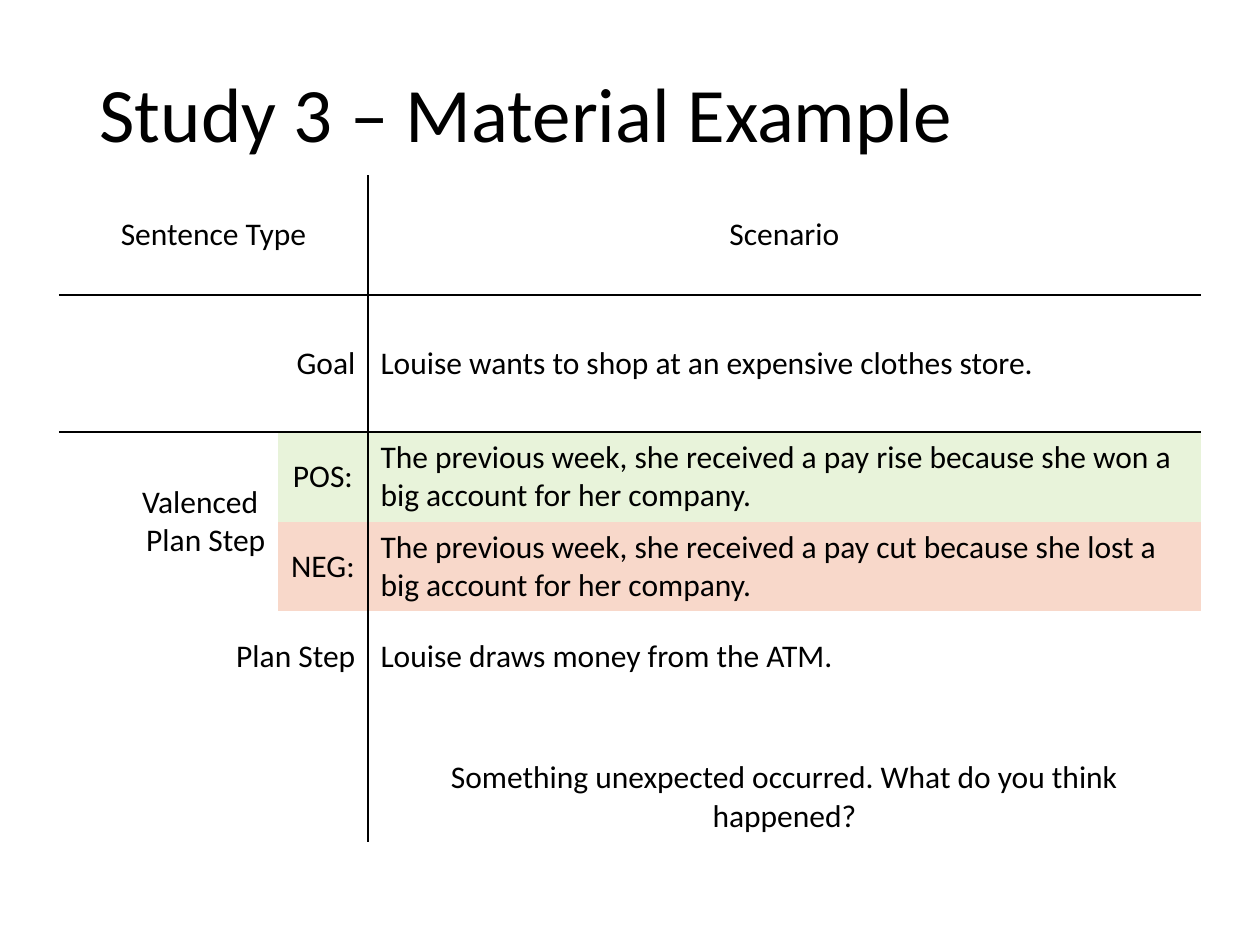
import pptx
import pptx.util
import pptx.dml.color
import pptx.enum.text
import pptx.oxml
import pptx.oxml.ns
from dataclasses import dataclass

ALIGN = pptx.enum.text.PP_ALIGN
MIDDLE = pptx.enum.text.MSO_ANCHOR.MIDDLE
SCALE = 914400 / 126  # EMU in one px


@dataclass(frozen=True)
class Theme:
    font: str = "Calibri"
    ink: str = "000000"
    gain: str = "E8F3DA"
    loss: str = "F8D8CA"
    head: int = 44
    body: int = 18
    rule: int = 1


def px(num):
    return pptx.util.Emu(round(num * SCALE))


def write(frame, text, *, font, size, color, align=ALIGN.LEFT, space=None):
    """Fill a text frame, one paragraph to each line of text."""
    frame.text = text
    for para in frame.paragraphs:
        para.alignment = align
        para.line_spacing = space
        para.font.name = font
        para.font.size = pptx.util.Pt(size)
        para.font.color.rgb = pptx.dml.color.RGBColor.from_string(color)


class Deck:
    def __init__(self, theme):
        self.theme = theme
        self.show = pptx.Presentation()
        self.show.slide_width, self.show.slide_height = px(1260), px(945)
        self.slide = self.show.slides.add_slide(self.show.slide_layouts[5])

    def title(self, text, x, y, wide, high):
        look, shape = self.theme, self.slide.shapes.title
        shape.left, shape.top = px(x), px(y)
        shape.width, shape.height = px(wide), px(high)
        frame = shape.text_frame
        frame.auto_size = pptx.enum.text.MSO_AUTO_SIZE.NONE
        frame.vertical_anchor = MIDDLE
        write(frame, text, font=look.font, size=look.head,
              color=look.ink, space=0.9)

    def table(self, x, y, cols, rows):
        frame = self.slide.shapes.add_table(
            len(rows), len(cols), px(x), px(y), px(sum(cols)), px(sum(rows)))
        grid = frame.table
        grid.first_row = grid.horz_banding = False
        for col, wide in zip(grid.columns, cols):
            col.width = px(wide)
        for row, high in zip(grid.rows, rows):
            row.height = px(high)
        return grid

    def cell(self, cell, text, align, fill=None):
        look = self.theme
        cell.vertical_anchor = MIDDLE
        write(cell.text_frame, text, font=look.font, size=look.body,
              color=look.ink, align=align)
        if fill:
            cell.fill.solid()
            cell.fill.fore_color.rgb = pptx.dml.color.RGBColor.from_string(fill)
        else:
            cell.fill.background()

    def border(self, cell, sides):
        """Rule the named sides (of L, R, T, B) and clear the others."""
        space = pptx.oxml.ns.nsdecls("a")
        width = pptx.util.Pt(self.theme.rule)
        ink = f'<a:solidFill><a:srgbClr val="{self.theme.ink}"/></a:solidFill>'
        props = cell._tc.get_or_add_tcPr()
        for spot, side in enumerate("LRTB"):
            paint = ink if side in sides else "<a:noFill/>"
            props.insert(spot, pptx.oxml.parse_xml(
                f'<a:ln{side} {space} w="{width}">{paint}</a:ln{side}>'))


def main():
    theme = Theme()
    deck = Deck(theme)

    # Heading
    deck.title("Study 3 – Material Example", 87, 26, 1086, 183)

    # Table grid, with merged labels
    cols = [219, 90, 833]
    rows = [120, 137, 89, 90, 90, 50, 89]
    grid = deck.table(59, 175, cols, rows)
    for row in (0, 1, 4):
        grid.cell(row, 0).merge(grid.cell(row, 1))
    grid.cell(2, 0).merge(grid.cell(3, 0))

    # Wording by row and column: text, alignment, fill
    left, mid, right = ALIGN.LEFT, ALIGN.CENTER, ALIGN.RIGHT
    words = {
        (0, 0): ("Sentence Type", mid),
        (0, 2): ("Scenario", mid),
        (1, 0): ("Goal", right),
        (1, 2): ("Louise wants to shop at an expensive clothes store.", left),
        (2, 0): ("Valenced \nPlan Step", right),
        (2, 1): ("POS: ", mid, theme.gain),
        (2, 2): ("The previous week, she received a pay rise because "
                 "she won a big account for her company.", left, theme.gain),
        (3, 1): ("NEG:", mid, theme.loss),
        (3, 2): ("The previous week, she received a pay cut because "
                 "she lost a big account for her company.", left, theme.loss),
        (4, 0): ("Plan Step", right),
        (4, 2): ("Louise draws money from the ATM.", left),
        (6, 2): ("Something unexpected occurred. "
                 "What do you think happened?", mid),
    }

    # Rules under the first two rows and left of the last column
    across = {0: "B", 1: "TB", 2: "T"}
    for row in range(len(rows)):
        for col in range(len(cols)):
            cell = grid.cell(row, col)
            wide = cell.span_width if cell.is_merge_origin else 1
            edge = "L" if col == 2 else "R" if col + wide == 2 else ""
            deck.border(cell, edge + across.get(row, ""))
            deck.cell(cell, *words.get((row, col), ("", left)))

    deck.show.save("out.pptx")


if __name__ == "__main__":
    main()
